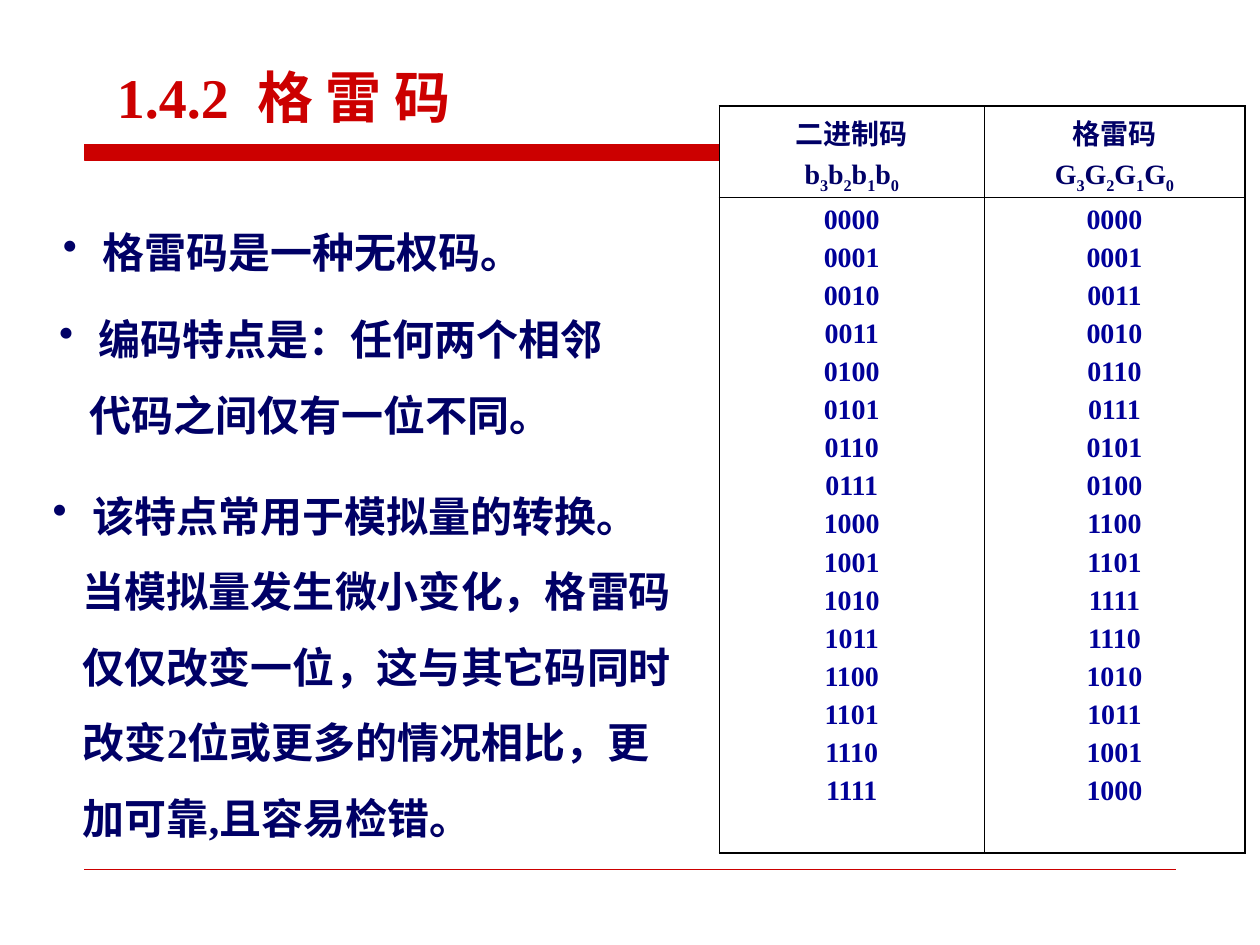
from lxml.etree import SubElement
from pptx import Presentation
from pptx.dml.color import RGBColor
from pptx.enum.shapes import MSO_CONNECTOR
from pptx.enum.text import MSO_ANCHOR, PP_ALIGN
from pptx.oxml.ns import qn
from pptx.util import Inches, Pt

RED = RGBColor(0xCC, 0x00, 0x00)
NAVY = RGBColor(0x00, 0x00, 0x66)
BLUE = RGBColor(0x00, 0x00, 0x99)
BLACK = RGBColor(0x00, 0x00, 0x00)
WHITE = RGBColor(0xFF, 0xFF, 0xFF)
FONT = "Times New Roman"
OUTER, INNER = Pt(1.08), Pt(0.45)

TITLE = "1.4.2  格 雷 码"
# left, top, width, height, text
POINTS = [
    (0.4, 1.55, 4.79, 0.7, " 格雷码是一种无权码。"),
    (0.37, 2.24, 4.79, 1.3, " 编码特点是：任何两个相邻代码之间仅有一位不同。"),
    (0.32, 3.64, 5.15, 3.1,
     " 该特点常用于模拟量的转换。当模拟量发生微小变化，格雷码仅仅改变一位，"
     "这与其它码同时改变2位或更多的情况相比，更加可靠,且容易检错。"),
]
HEADERS = [("二进制码", "b"), ("格雷码", "G")]
CODES = [
    [f"{n:04b}" for n in range(16)],
    [f"{n ^ (n >> 1):04b}" for n in range(16)],
]
COLUMN_WIDTHS = (2.1, 2.07)
ROW_HEIGHTS = (0.73, 5.2)


def style(run, size, color):
    run.font.name = FONT
    run.font.size = Pt(size)
    run.font.bold = True
    run.font.color.rgb = color


def add_text(slide, left, top, width, height, text, size, color):
    box = slide.shapes.add_textbox(Inches(left), Inches(top), Inches(width), Inches(height))
    frame = box.text_frame
    frame.word_wrap = True
    frame.text = text
    style(frame.paragraphs[0].runs[0], size, color)
    return frame


def add_bullet(paragraph):
    properties = paragraph._p.get_or_add_pPr()
    properties.set("marL", str(Inches(0.24)))
    properties.set("indent", str(-Inches(0.24)))
    color = SubElement(properties, qn("a:buClr"))
    SubElement(color, qn("a:srgbClr"), val=str(NAVY))
    SubElement(properties, qn("a:buChar"), char="•")


def set_borders(cell, row, column):
    """Draw heavy edges around the table and thin ones inside it."""
    properties = cell._tc.get_or_add_tcPr()
    edges = {"L": column == 0, "R": column == 1, "T": row == 0, "B": row == 1}
    for side, is_outer in edges.items():
        line = SubElement(properties, qn(f"a:ln{side}"), w=str(OUTER if is_outer else INNER))
        fill = SubElement(line, qn("a:solidFill"))
        SubElement(fill, qn("a:srgbClr"), val=str(BLACK))


def fill_cell(cell, lines, color):
    cell.text_frame.text = "\n".join(lines)
    for index, paragraph in enumerate(cell.text_frame.paragraphs):
        paragraph.alignment = PP_ALIGN.CENTER
        if index:
            paragraph.space_before = Pt(4)
        for run in paragraph.runs:
            style(run, 16, color)


def add_bit_names(paragraph, letter):
    paragraph.text = ""
    for bit in "3210":
        for text in (letter, bit):
            run = paragraph.add_run()
            run.text = text
            style(run, 16, NAVY)
        run.font._element.set("baseline", "-25000")


def add_code_table(slide):
    table = slide.shapes.add_table(
        2, 2, Inches(5.71), Inches(0.84),
        Inches(sum(COLUMN_WIDTHS)), Inches(sum(ROW_HEIGHTS))).table
    table.first_row = table.horz_banding = False
    for row, height in enumerate(ROW_HEIGHTS):
        table.rows[row].height = Inches(height)
    for column, (heading, letter) in enumerate(HEADERS):
        table.columns[column].width = Inches(COLUMN_WIDTHS[column])
        head, body = table.cell(0, column), table.cell(1, column)
        fill_cell(head, [heading, letter], NAVY)
        add_bit_names(head.text_frame.paragraphs[1], letter)
        fill_cell(body, CODES[column], BLUE)
        for row, cell in enumerate((head, body)):
            set_borders(cell, row, column)
            cell.fill.solid()
            cell.fill.fore_color.rgb = WHITE


def add_rules(slide):
    left, top, bottom = Inches(0.67), Inches(1.15), Inches(1.27)
    bar_end = Inches(5.76)
    builder = slide.shapes.build_freeform(left, top)
    builder.add_line_segments([(bar_end, top), (bar_end, bottom), (left, bottom)], close=True)
    builder.move_to(left, top)
    builder.add_line_segments([(Inches(9.37), top)], close=False)
    title_rule = builder.convert_to_shape()
    title_rule.shadow.inherit = False
    title_rule.fill.solid()
    title_rule.fill.fore_color.rgb = RED
    title_rule.line.color.rgb = RED
    title_rule.line.width = Pt(0.75)

    footer_rule = slide.shapes.add_connector(
        MSO_CONNECTOR.STRAIGHT, left, Inches(6.9), Inches(9.33), Inches(6.9))
    footer_rule.line.color.rgb = RED
    footer_rule.line.width = Pt(0.25)
    SubElement(footer_rule._element.spPr, qn("a:effectLst"))


def main():
    deck = Presentation()
    deck.slide_width, deck.slide_height = Inches(10), Inches(7.5)
    slide = deck.slides.add_slide(deck.slide_layouts[6])
    add_rules(slide)
    title = add_text(slide, 0.83, 0.44, 4.95, 0.64, TITLE, 32, RED)
    title.vertical_anchor = MSO_ANCHOR.MIDDLE
    add_code_table(slide)
    for point in POINTS:
        paragraph = add_text(slide, *point, 24, NAVY).paragraphs[0]
        add_bullet(paragraph)
        paragraph.line_spacing = 1.5
    deck.save("out.pptx")


if __name__ == "__main__":
    main()
